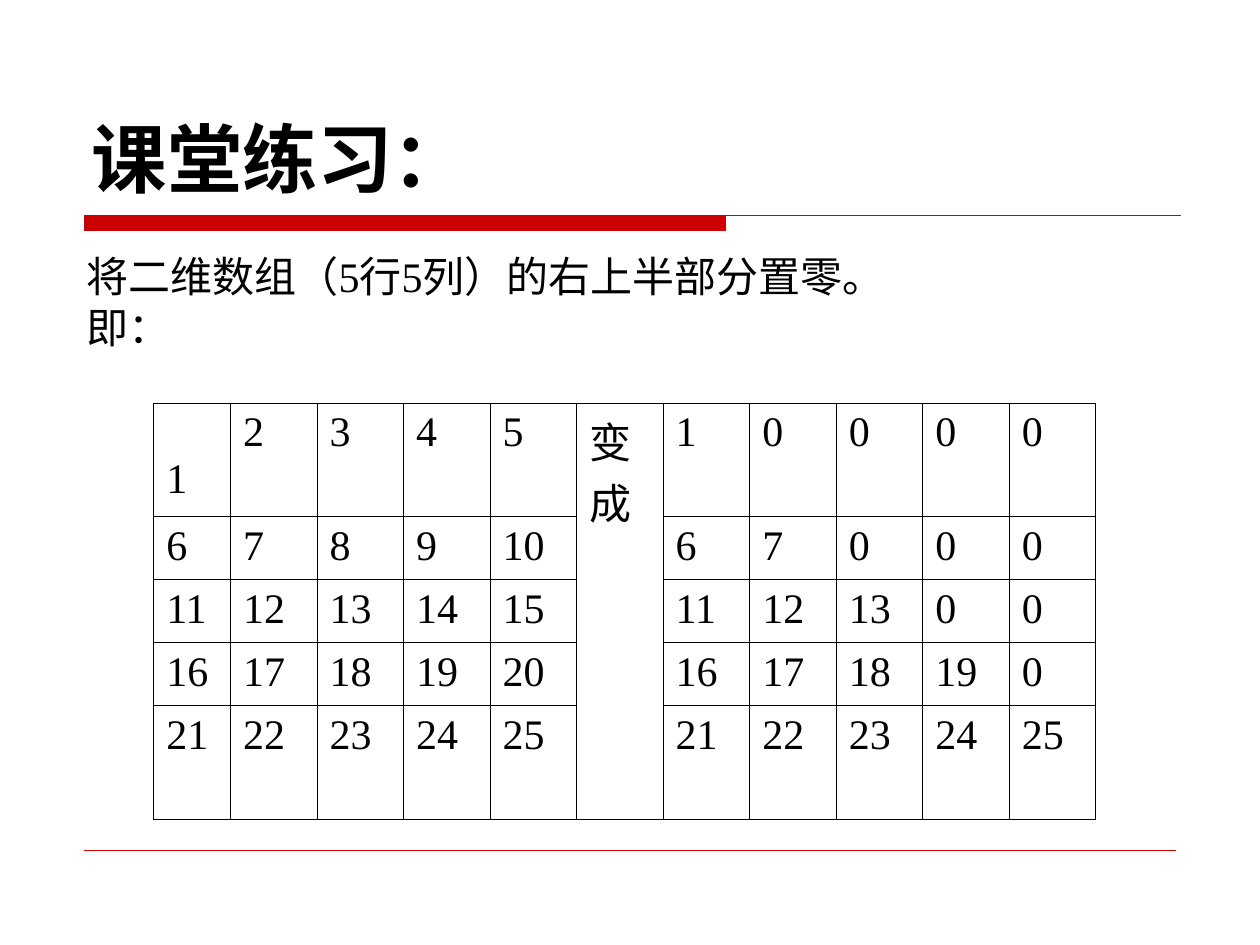
from dataclasses import dataclass

from lxml import etree
from pptx import Presentation
from pptx.dml.color import RGBColor
from pptx.enum.shapes import MSO_CONNECTOR
from pptx.enum.text import MSO_ANCHOR, PP_ALIGN
from pptx.oxml.ns import qn
from pptx.util import Inches, Pt

LEFT = PP_ALIGN.LEFT
BOTTOM, MIDDLE = MSO_ANCHOR.BOTTOM, MSO_ANCHOR.MIDDLE
STRAIGHT = MSO_CONNECTOR.STRAIGHT


@dataclass(frozen=True)
class Theme:
    red: RGBColor = RGBColor(0xCC, 0x00, 0x00)
    ink: RGBColor = RGBColor(0x00, 0x00, 0x00)
    head: str = "DejaVu Sans"
    body: str = "Times New Roman"
    big: Pt = Pt(43)
    text: Pt = Pt(24)
    grid: Pt = Pt(0.45)


theme = Theme()


def style(para, name, size, bold=False):
    para.alignment = LEFT
    font = para.font
    font.name, font.size, font.bold = name, size, bold
    font.color.rgb = theme.ink


def border(cell):
    """Draw all four edges of a table cell."""
    props = cell._tc.get_or_add_tcPr()
    for side in ("lnL", "lnR", "lnT", "lnB"):
        edge = etree.SubElement(props, qn(f"a:{side}"), w=str(int(theme.grid)))
        fill = etree.SubElement(edge, qn("a:solidFill"))
        etree.SubElement(fill, qn("a:srgbClr"), val=str(theme.ink))


prs = Presentation()
prs.slide_width, prs.slide_height = Inches(10), Inches(7.5)
slide = prs.slides.add_slide(prs.slide_layouts[5])
shapes = slide.shapes

# Title
title = shapes.title
title.left, title.top = Inches(0.63), Inches(0.33)
title.width, title.height = Inches(8.75), Inches(1.33)
title.text_frame.text = "课堂练习："
title.text_frame.vertical_anchor = BOTTOM
style(title.text_frame.paragraphs[0], theme.head, theme.big, True)

# Thick bar that runs on as a thin rule
left, top = Inches(0.67), Inches(1.71)
mid, low, right = Inches(5.76), Inches(1.83), Inches(9.37)
pen = shapes.build_freeform(left, top)
pen.add_line_segments([(mid, top), (mid, low), (left, low)], close=True)
pen.move_to(left, top)
pen.add_line_segments([(right, top)], close=False)
bar = pen.convert_to_shape()
bar.shadow.inherit = False
bar.fill.solid()
bar.fill.fore_color.rgb = theme.red
bar.line.color.rgb = theme.red
bar.line.width = Pt(0.75)

# Rule at the foot
foot = shapes.add_connector(STRAIGHT, left, Inches(6.75), Inches(9.33), Inches(6.75))
foot.line.color.rgb = theme.red
foot.line.width = Pt(0.25)
etree.SubElement(foot._element.spPr, qn("a:effectLst"))

# Task
task = shapes.add_textbox(Inches(0.59), Inches(1.94), Inches(7.8), Inches(0.9))
frame = task.text_frame
frame.word_wrap = True
frame.vertical_anchor = MIDDLE
frame.text = "将二维数组（5行5列）的右上半部分置零。\n即："
for para in frame.paragraphs:
    style(para, theme.body, theme.text)
    para.line_spacing = Pt(29)

# Array before and after, with a merged column between them
size = 5
count = 2 * size + 1
wide, first = Inches(7.48), Inches(0.61)
table = shapes.add_table(
    size, count, Inches(1.22), Inches(3.2), wide, Inches(3.3)
).table
table.first_row = table.horz_banding = False
for i, col in enumerate(table.columns):
    col.width = first if i == 0 else (wide - first) // (count - 1)
for row, high in zip(table.rows, (0.9, 0.5, 0.5, 0.5, 0.9)):
    row.height = Inches(high)

table.cell(0, size).merge(table.cell(size - 1, size))
for r in range(size):
    nums = [size * r + c + 1 for c in range(size)]
    zeroed = [n if c <= r else 0 for c, n in enumerate(nums)]
    label = "变成" if r == 0 else ""
    for c, value in enumerate([*nums, label, *zeroed]):
        cell = table.cell(r, c)
        border(cell)
        cell.fill.background()
        cell.text = str(value)
        style(cell.text_frame.paragraphs[0], theme.body, theme.text)

# The first number sits one line lower
table.cell(0, 0).margin_top = Inches(0.42)

prs.save("out.pptx")
